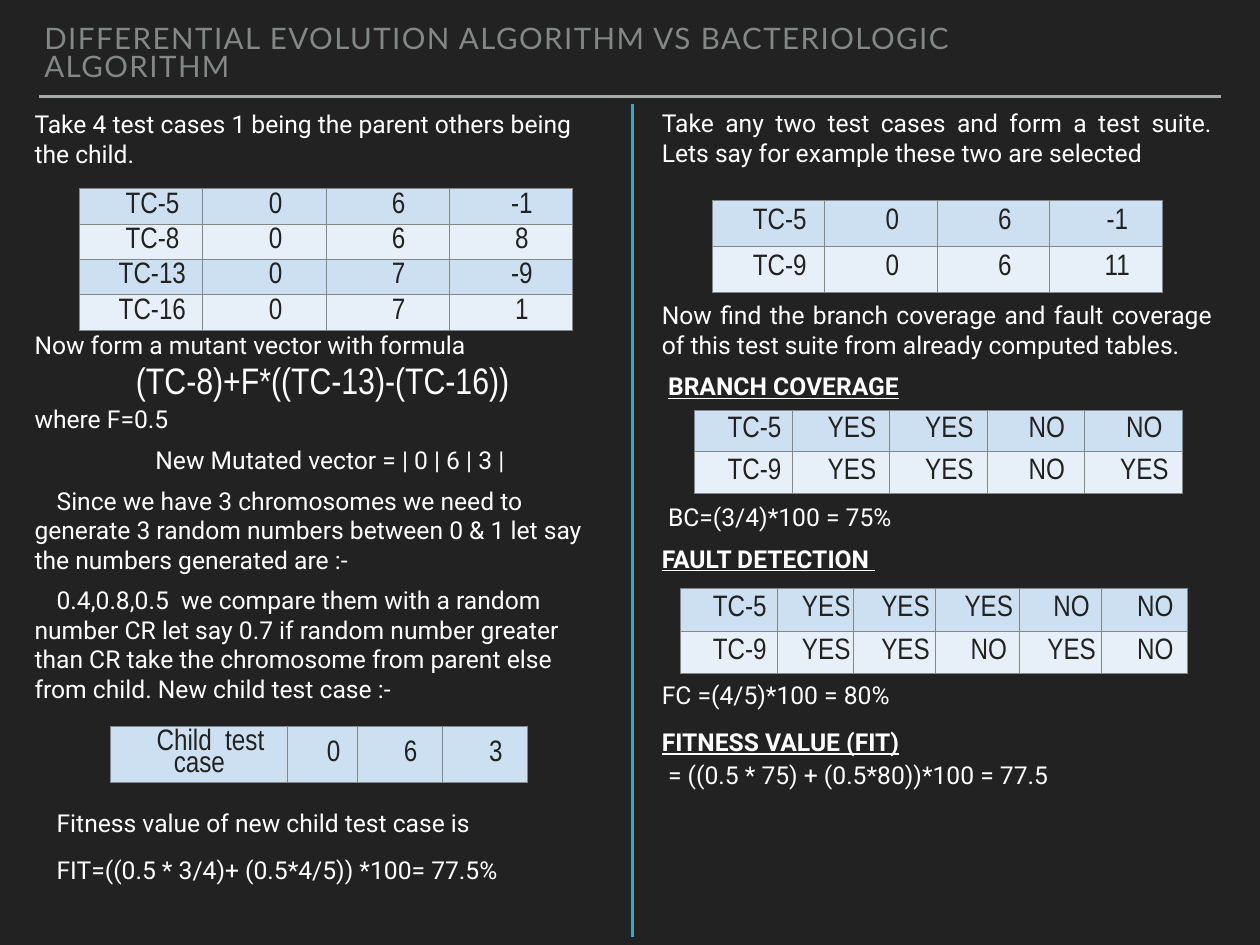
from lxml.etree import SubElement
from pptx import Presentation
from pptx.dml.color import RGBColor
from pptx.enum.shapes import MSO_CONNECTOR
from pptx.enum.text import MSO_ANCHOR, PP_ALIGN
from pptx.oxml.ns import qn
from pptx.util import Inches, Pt

HUES = {"back": "222222", "text": "FFFFFF", "title": "838787", "rule": "A6AAA9",
        "split": "34A5DA", "ink": "222222", "edge": "838787",
        "odd": "CCE0F1", "even": "E7F0F8"}


def hue(name):
    """Return the named colour."""
    return RGBColor.from_string(HUES[name])


def style(para, size, face, tint, bold=False):
    """Set the font of a paragraph; bold headings are underlined."""
    font = para.font
    font.size, font.name = Pt(size), face
    font.color.rgb = hue(tint)
    if bold:
        font.bold = font.underline = True


def indent(para, first=0, left=0):
    """Set the first-line and left indents in inches."""
    props = para._p.get_or_add_pPr()
    props.set("marL", str(Inches(left)))
    props.set("indent", str(Inches(first)))


def frame(slide, box, anchor=MSO_ANCHOR.TOP):
    """Add a wrapping text box and return its text frame."""
    body = slide.shapes.add_textbox(*map(Inches, box)).text_frame
    body.word_wrap = True
    body.vertical_anchor = anchor
    body.margin_left = body.margin_right = Inches(0.06)
    body.margin_top = body.margin_bottom = Inches(0.06)
    return body


def write(slide, box, rows, align):
    """Write a column from rows of text, space before and options."""
    body = frame(slide, box)
    for i, (text, gap, opts) in enumerate(rows):
        para = body.add_paragraph() if i else body.paragraphs[0]
        para.text = text
        para.alignment = opts.get("align", align)
        para.space_before = Pt(gap)
        indent(para, opts.get("first", 0), opts.get("left", 0))
        style(para, 20, "Roboto", "text", opts.get("bold", False))


def line(slide, start, end, tint):
    """Draw a straight two-point line."""
    rule = slide.shapes.add_connector(
        MSO_CONNECTOR.STRAIGHT, *map(Inches, start + end))
    rule.line.color.rgb = hue(tint)
    rule.line.width = Pt(2)
    SubElement(rule._element.spPr, qn("a:effectLst"))


def border(cell):
    """Draw a thin line on every side of a cell."""
    props = cell._tc.get_or_add_tcPr()
    for side in ("lnL", "lnR", "lnT", "lnB"):
        edge = SubElement(props, qn("a:" + side), w=str(Pt(1)))
        fill = SubElement(edge, qn("a:solidFill"))
        SubElement(fill, qn("a:srgbClr"), val=HUES["edge"])


def grid(slide, left, top, cols, high, rows):
    """Add a striped table with the given column widths and row height."""
    table = slide.shapes.add_table(
        len(rows), len(cols), Inches(left), Inches(top),
        Inches(sum(cols)), Inches(high * len(rows))).table
    table.first_row = table.horz_banding = False
    for col, wide in zip(table.columns, cols):
        col.width = Inches(wide)
    for i, row in enumerate(rows):
        table.rows[i].height = Inches(high)
        for j, text in enumerate(row):
            cell = table.cell(i, j)
            cell.margin_left = cell.margin_right = 0
            cell.margin_top = cell.margin_bottom = 0
            cell.vertical_anchor = MSO_ANCHOR.MIDDLE
            border(cell)
            cell.fill.solid()
            cell.fill.fore_color.rgb = hue("even" if i % 2 else "odd")
            para = cell.text_frame.paragraphs[0]
            para.text = text
            para.alignment = PP_ALIGN.CENTER
            para.line_spacing = 0.8
            indent(para, 0.25)
            style(para, 24, "Arial Narrow", "ink")


def header(slide, box):
    """Place the title above its rule."""
    x, y, w, h = box
    line(slide, (x, y + 0.59), (x + 13.34, y + 0.59), "rule")
    para = frame(slide, box, MSO_ANCHOR.BOTTOM).paragraphs[0]
    para.text = "DIFFERENTIAL EVOLUTION ALGORITHM VS BACTERIOLOGIC ALGORITHM"
    para.line_spacing = 0.8
    style(para, 24, "Lato", "title")
    para.runs[0]._r.get_or_add_rPr().set("spc", "120")


def evolve(slide, box):
    """Place the differential evolution column."""
    x, y, w, h = box
    step = {"first": 0.25}
    write(slide, box, [
        ("Take 4 test cases 1 being the parent others being the child.", 0, {}),
        ("Now form a mutant vector with formula", 132, {}),
        ("where F=0.5", 36, {}),
        ("New Mutated vector = | 0 | 6 | 3 |", 9,
         {"first": 0.25, "align": PP_ALIGN.CENTER}),
        ("Since we have 3 chromosomes we need to generate 3 random numbers "
         "between 0 & 1 let say the numbers generated are :-", 9, step),
        ("0.4,0.8,0.5  we compare them with a random number CR let say 0.7 "
         "if random number greater than CR take the chromosome from parent "
         "else from child. New child test case :-", 9, step),
        ("Fitness value of new child test case is", 85, step),
        ("FIT=((0.5 * 3/4)+ (0.5*4/5)) *100= 77.5%", 14, step),
    ], PP_ALIGN.LEFT)
    grid(slide, x + 0.57, y + 0.96, [1.39] * 4, 0.4, [
        ("TC-5", "0", "6", "-1"), ("TC-8", "0", "6", "8"),
        ("TC-13", "0", "7", "-9"), ("TC-16", "0", "7", "1")])
    para = frame(slide, (x + 1.01, y + 2.85, 4.61, 0.53),
                 MSO_ANCHOR.MIDDLE).paragraphs[0]
    para.text = "(TC-8)+F*((TC-13)-(TC-16))"
    para.alignment = PP_ALIGN.CENTER
    style(para, 30, "Arial Narrow", "text")
    grid(slide, x + 0.92, y + 7.03, [2, 0.78, 0.96, 0.96], 0.64,
         [("Child  test case", "0", "6", "3")])


def bacteria(slide, box):
    """Place the bacteriologic column."""
    x, y, w, h = box
    head, shift = {"bold": True}, {"left": 0.07}
    write(slide, box, [
        ("Take any two test cases and form a test suite. Lets say for "
         "example these two are selected", 0, {}),
        ("Now find the branch coverage and fault coverage of this test suite "
         "from already computed tables.", 108, {}),
        ("BRANCH COVERAGE", 10, head | shift),
        ("BC=(3/4)*100 = 75%", 82, shift),
        ("FAULT DETECTION ", 10, head),
        ("FC =(4/5)*100 = 80%", 87, {}),
        ("FITNESS VALUE (FIT)", 14, head),
        ("= ((0.5 * 75) + (0.5*80))*100 = 77.5", 3, shift),
    ], PP_ALIGN.JUSTIFY)
    grid(slide, x + 0.63, y + 1.1, [1.27] * 4, 0.52, [
        ("TC-5", "0", "6", "-1"), ("TC-9", "0", "6", "11")])
    grid(slide, x + 0.43, y + 3.47, [1.1] * 5, 0.47, [
        ("TC-5", "YES", "YES", "NO", "NO"),
        ("TC-9", "YES", "YES", "NO", "YES")])
    grid(slide, x + 0.27, y + 5.49, [1.09, 0.86, 0.93, 0.95, 0.92, 0.97], 0.48, [
        ("TC-5", "YES", "YES", "YES", "NO", "NO"),
        ("TC-9", "YES", "YES", "NO", "YES", "NO")])


def main():
    """Build the slide and save it."""
    deck = Presentation()
    deck.slide_width, deck.slide_height = Inches(14.22), Inches(10.67)
    slide = deck.slides.add_slide(deck.slide_layouts[6])
    slide.background.fill.solid()
    slide.background.fill.fore_color.rgb = hue("back")
    header(slide, (0.44, 0.5, 12.22, 0.5))
    evolve(slide, (0.33, 1.17, 6.54, 9.29))
    bacteria(slide, (7.41, 1.16, 6.33, 9.31))
    line(slide, (7.14, 1.17), (7.14, 10.58), "split")
    deck.save("out.pptx")


if __name__ == "__main__":
    main()
